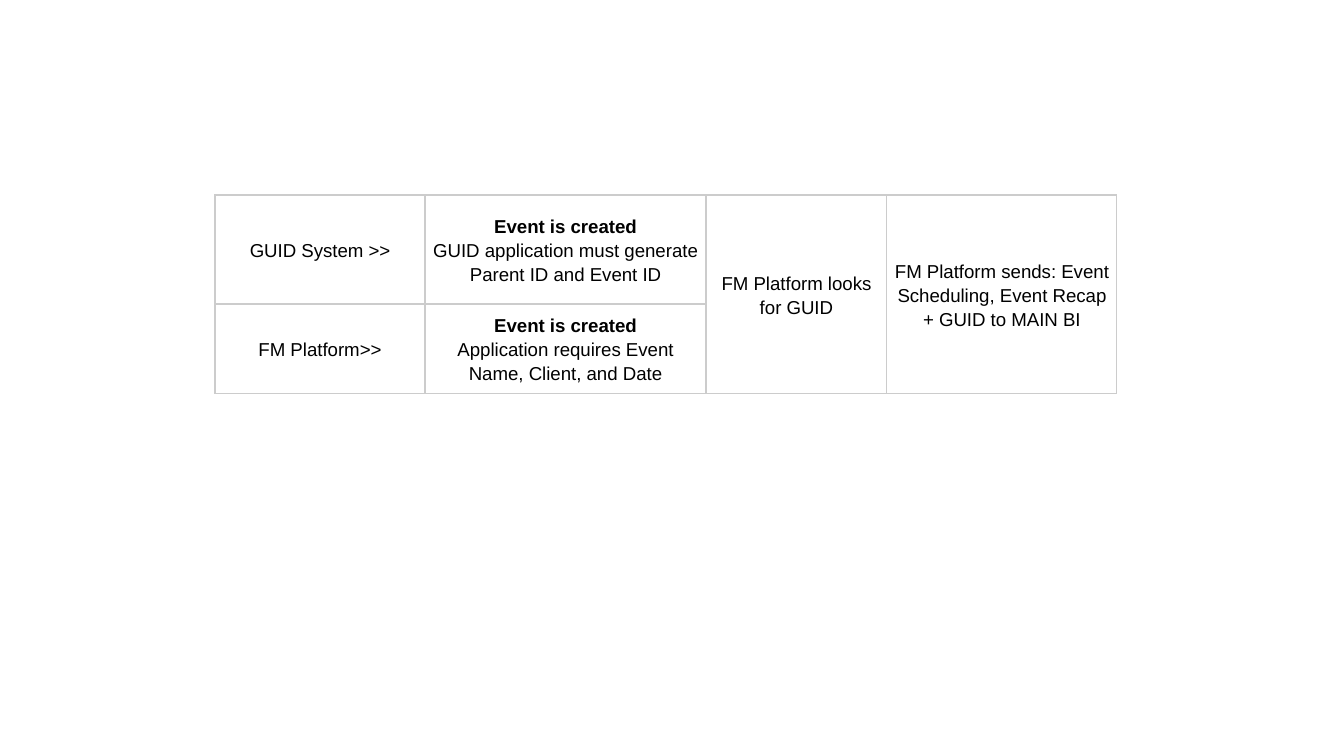
from dataclasses import dataclass

from lxml import etree
from pptx import Presentation
from pptx.dml.color import RGBColor
from pptx.enum.text import MSO_ANCHOR, PP_ALIGN
from pptx.oxml.ns import qn
from pptx.util import Pt

CENTER = PP_ALIGN.CENTER
MIDDLE = MSO_ANCHOR.MIDDLE
EMU_PER_INCH, PX_PER_INCH = 914400, 134.4


@dataclass(frozen=True)
class Theme:
    """Colours, type and line values of the slide."""
    text: str = "000000"
    border: str = "CCCCCC"
    font: str = "Arial"
    size: int = 10
    border_pt: float = 0.75
    spacing: float = 1.15


THEME = Theme()
COLS = (210, 281, 181, 230)
ROWS = (109, 90)
HEAD = "Event is created"
CELLS = {
    (0, 0): (None, "GUID System >>"),
    (0, 1): (HEAD, "GUID application must generate Parent ID and Event ID"),
    (0, 2): (None, "FM Platform looks for GUID"),
    (0, 3): (None, "FM Platform sends: Event Scheduling, Event Recap + GUID to MAIN BI"),
    (1, 0): (None, "FM Platform>>"),
    (1, 1): (HEAD, "Application requires Event Name, Client, and Date"),
}
MERGED_COLS = (2, 3)


def px(n):
    """Turn whole pixels into EMU."""
    return round(n * EMU_PER_INCH / PX_PER_INCH)


def assign(obj, values):
    """Set attributes from a dict of format values."""
    for name, value in values.items():
        setattr(obj, name, value)


def add_borders(cell):
    """Draw a thin line on the four sides of a cell."""
    tc_pr = cell._tc.get_or_add_tcPr()
    for side in ("lnL", "lnR", "lnT", "lnB"):
        ln = etree.SubElement(tc_pr, qn(f"a:{side}"), w=str(Pt(THEME.border_pt)))
        fill = etree.SubElement(ln, qn("a:solidFill"))
        etree.SubElement(fill, qn("a:srgbClr"), val=THEME.border)


def format_cell(cell):
    """Give a cell its borders, empty fill, insets and anchor."""
    add_borders(cell)
    cell.fill.background()
    assign(cell, {
        "margin_left": px(4), "margin_right": px(4),
        "margin_top": px(3), "margin_bottom": px(3),
        "vertical_anchor": MIDDLE,
    })


def write_paragraph(p, text, bold):
    """Fill a centred paragraph with one run."""
    assign(p, {"alignment": CENTER, "line_spacing": THEME.spacing})
    r = p.add_run()
    r.text = text
    assign(r.font, {"name": THEME.font, "size": Pt(THEME.size), "bold": bold})
    r.font.color.rgb = RGBColor.from_string(THEME.text)


def write_cell(cell, head, body):
    """Write an optional bold heading and the body text."""
    tf = cell.text_frame
    p = tf.paragraphs[0]
    if head:
        write_paragraph(p, head, True)
        p = tf.add_paragraph()
    write_paragraph(p, body, False)


def add_event_table(s, left, top):
    """Add the event flow table with its merged columns."""
    table = s.shapes.add_table(len(ROWS), len(COLS), px(left), px(top),
                               px(sum(COLS)), px(sum(ROWS))).table
    assign(table, {"first_row": False, "horz_banding": False})
    for col, width in zip(table.columns, COLS):
        col.width = px(width)
    for row, height in zip(table.rows, ROWS):
        row.height = px(height)
    for cell in table.iter_cells():
        format_cell(cell)
    for c in MERGED_COLS:
        table.cell(0, c).merge(table.cell(1, c))
    for (r, c), (head, body) in CELLS.items():
        write_cell(table.cell(r, c), head, body)


def main():
    """Build the slide and save it."""
    prs = Presentation()
    assign(prs, {"slide_width": px(1344), "slide_height": px(756)})
    s = prs.slides.add_slide(prs.slide_layouts[6])
    add_event_table(s, 215, 195)
    prs.save("out.pptx")


if __name__ == "__main__":
    main()
